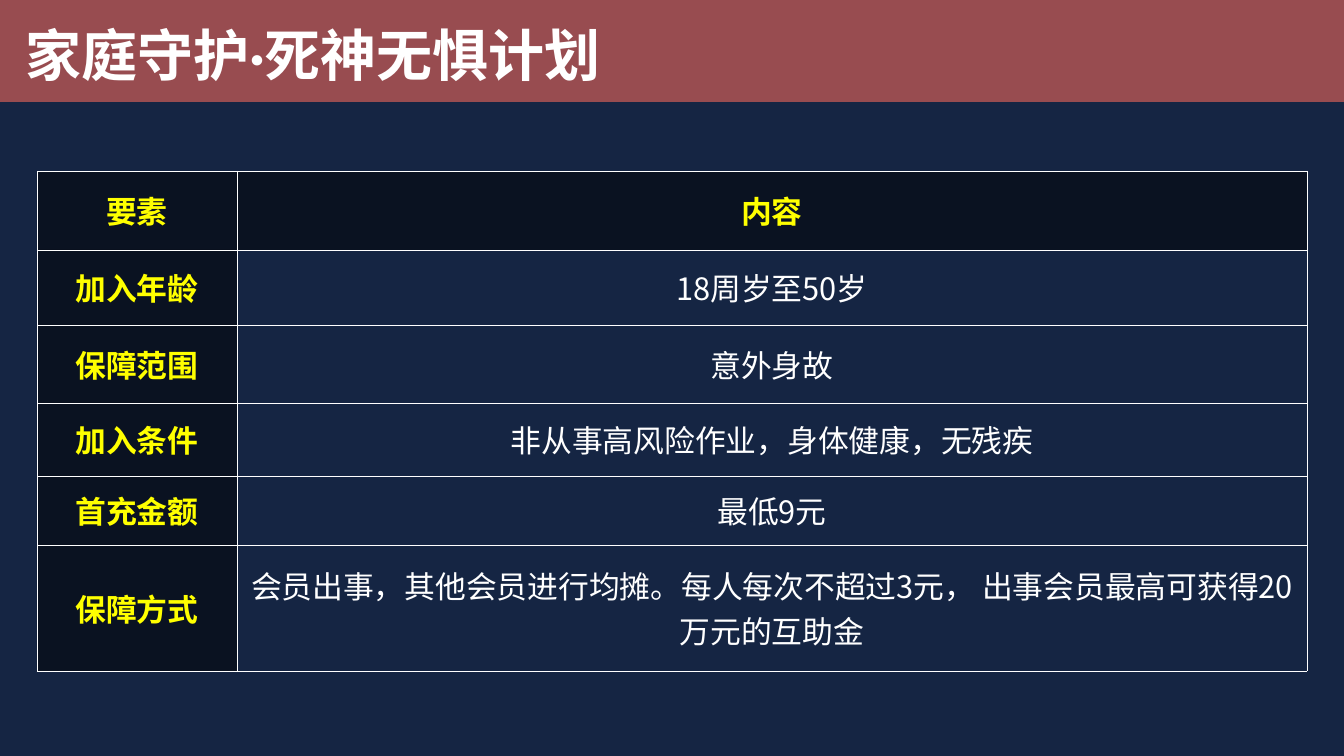
from dataclasses import dataclass

from lxml import etree
from pptx import Presentation
from pptx import util as u
from pptx.dml.color import RGBColor
from pptx.enum import shapes, text
from pptx.oxml.ns import qn

EMU_PER_PX = 914400 / 100.8


def px(length):
    return u.Emu(round(length * EMU_PER_PX))


@dataclass(frozen=True)
class Theme:
    background: str = "152543"
    banner: str = "984C50"
    white: str = "FFFFFF"
    yellow: str = "FFFF00"
    shade: str = "000000"
    shade_alpha: int = 50000
    title_font: str = "Calibri"
    body_font: str = "Noto Sans CJK SC"
    title_size: int = 40
    body_size: int = 22
    border_width: float = 0.25


class PlanSlide:
    def __init__(self, deck, theme):
        self.theme = theme
        self.slide = deck.slides.add_slide(deck.slide_layouts[6])
        self.fill(self.slide.background.fill, theme.background)

    def fill(self, fill, color):
        fill.solid()
        fill.fore_color.rgb = RGBColor.from_string(color)

    def style(self, para, font_name, size, color, bold):
        for span in para.runs:
            font = span.font
            font.name, font.size, font.bold = font_name, u.Pt(size), bold
            font.color.rgb = RGBColor.from_string(color)
            east_asian = etree.SubElement(span._r.get_or_add_rPr(), qn("a:ea"))
            east_asian.set("typeface", self.theme.body_font)

    def banner(self, left, top, width, height):
        box = self.slide.shapes.add_shape(
            shapes.MSO_SHAPE.RECTANGLE, px(left), px(top), px(width), px(height))
        box.shadow.inherit = False
        self.fill(box.fill, self.theme.banner)
        box.line.fill.background()

    def title(self, wording, left, top, width, height):
        box = self.slide.shapes.add_textbox(px(left), px(top), px(width), px(height))
        frame = box.text_frame
        frame.word_wrap = True
        frame.auto_size = text.MSO_AUTO_SIZE.SHAPE_TO_FIT_TEXT
        frame.text = wording
        theme = self.theme
        self.style(frame.paragraphs[0], theme.title_font, theme.title_size, theme.white, True)

    def borders(self, cell):
        properties = cell._tc.get_or_add_tcPr()
        for index, side in enumerate(("lnL", "lnR", "lnT", "lnB")):
            line = etree.Element(qn(f"a:{side}"), w=str(u.Pt(self.theme.border_width)))
            solid = etree.SubElement(line, qn("a:solidFill"))
            etree.SubElement(solid, qn("a:srgbClr"), val=self.theme.white)
            properties.insert(index, line)

    def cell(self, cell, wording, heading):
        theme = self.theme
        cell.margin_left = cell.margin_right = px(6)
        cell.margin_top = cell.margin_bottom = 0
        cell.vertical_anchor = text.MSO_ANCHOR.MIDDLE
        cell.text_frame.text = wording
        para = cell.text_frame.paragraphs[0]
        para.alignment = text.PP_ALIGN.CENTER
        color = theme.yellow if heading else theme.white
        self.style(para, theme.body_font, theme.body_size, color, heading)
        if heading:
            self.fill(cell.fill, theme.shade)
            shade = cell._tc.tcPr.find(".//" + qn("a:srgbClr"))
            etree.SubElement(shade, qn("a:alpha"), val=str(theme.shade_alpha))
        else:
            cell.fill.background()
        self.borders(cell)

    def table(self, rows, left, top, widths, heights):
        frame = self.slide.shapes.add_table(
            len(rows), len(widths), px(left), px(top), px(sum(widths)), px(sum(heights)))
        table = frame.table
        table.first_row = table.horz_banding = False
        for column, width in zip(table.columns, widths):
            column.width = px(width)
        for row, height in zip(table.rows, heights):
            row.height = px(height)
        for r, row in enumerate(rows):
            for c, wording in enumerate(row):
                self.cell(table.cell(r, c), wording, heading=r == 0 or c == 0)


PLAN_ROWS = [
    ("要素", "内容"),
    ("加入年龄", "18周岁至50岁"),
    ("保障范围", "意外身故"),
    ("加入条件", "非从事高风险作业，身体健康，无残疾"),
    ("首充金额", "最低9元"),
    ("保障方式", "会员出事，其他会员进行均摊。每人每次不超过3元， 出事会员最高可获得20万元的互助金"),
]


def main():
    deck = Presentation()
    deck.slide_width, deck.slide_height = px(1344), px(756)
    page = PlanSlide(deck, Theme())
    page.banner(0, 0, 1344, 102)
    page.title("家庭守护·死神无惧计划", 16, 16, 750, 78)
    page.table(PLAN_ROWS, 37, 171, widths=(200, 1070), heights=(79, 75, 78, 73, 69, 126))
    deck.save("out.pptx")


if __name__ == "__main__":
    main()
